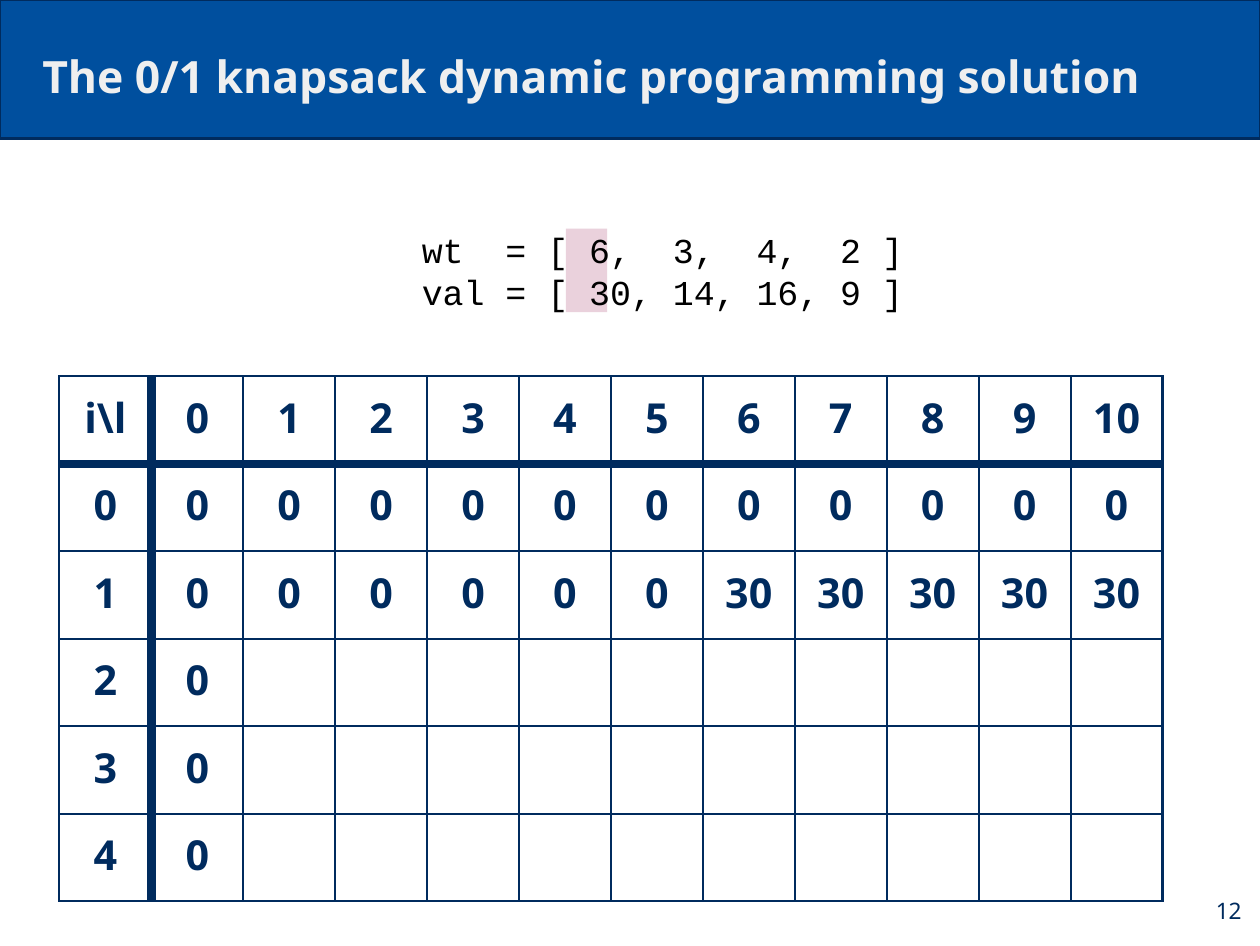
import pptx
import pptx.dml.color
import pptx.enum.shapes
import pptx.enum.text
import pptx.oxml
import pptx.oxml.ns
import pptx.util
from pptx.util import Inches

NAVY = "002B5E"
PAD = Inches(0.11)
ALIGN = pptx.enum.text.PP_ALIGN
ANCHOR = pptx.enum.text.MSO_ANCHOR


def color(value):
    return pptx.dml.color.RGBColor.from_string(value)


def add_run(paragraph, text, size, font, fill, bold=False):
    run = paragraph.add_run()
    run.text = text
    run.font.size = pptx.util.Pt(size)
    run.font.name = font
    run.font.bold = bold
    run.font.color.rgb = color(fill)


deck = pptx.Presentation()
deck.slide_width = Inches(11.02)
deck.slide_height = Inches(8.27)
slide = deck.slides.add_slide(deck.slide_layouts[5])
shapes = slide.shapes

rectangle = pptx.enum.shapes.MSO_SHAPE.RECTANGLE
band = shapes.add_shape(rectangle, 0, 0, deck.slide_width, Inches(1.21))
band.fill.solid()
band.fill.fore_color.rgb = color("004F9E")
band.line.color.rgb = color(NAVY)
band.line.width = pptx.util.Pt(1.5)
band.shadow.inherit = False

highlight = shapes.add_shape(rectangle, Inches(4.95), Inches(2), Inches(0.36), Inches(0.73))
highlight.fill.solid()
highlight.fill.fore_color.rgb = color("EAD1DC")
highlight.line.fill.background()
highlight.shadow.inherit = False

title = shapes.title
band.element.addnext(title.element)
title.left, title.top = Inches(0.26), Inches(0.24)
title.width, title.height = Inches(10.76), Inches(0.73)
heading = title.text_frame
heading.auto_size = pptx.enum.text.MSO_AUTO_SIZE.NONE
heading.word_wrap = True
heading.vertical_anchor = ANCHOR.BOTTOM
heading.margin_left = heading.margin_right = heading.margin_top = PAD
heading.margin_bottom = Inches(0.07)
heading.paragraphs[0].alignment = ALIGN.LEFT
add_run(heading.paragraphs[0], "The 0/1 knapsack dynamic programming solution",
        28, "Noto Sans", "EFEFEF", True)

capacities = range(11)
knapsack = [
    ["i\\l", *capacities],
    [0] + [0 for limit in capacities],
    [1] + [30 if limit >= 6 else 0 for limit in capacities],
]
knapsack += [[item, 0] + [""] * 10 for item in (2, 3, 4)]

grid = shapes.add_table(6, 12, Inches(0.52), Inches(3.29), Inches(9.65), Inches(4.59)).table
grid.first_row = False
grid.horz_banding = False
for column in grid.columns:
    column.width = Inches(9.65 / 12)
for row in grid.rows:
    row.height = Inches(4.59 / 6)

for i, values in enumerate(knapsack):
    for j, value in enumerate(values):
        cell = grid.cell(i, j)
        cell.margin_left = cell.margin_right = PAD
        cell.margin_top = cell.margin_bottom = PAD
        thick = {"lnL": j == 1, "lnR": j == 0, "lnT": i == 1, "lnB": i == 0}
        properties = cell._tc.get_or_add_tcPr()
        for side, is_thick in thick.items():
            width = pptx.util.Pt(6 if is_thick else 1.5)
            properties.append(pptx.oxml.parse_xml(
                f'<a:{side} {pptx.oxml.ns.nsdecls("a")} w="{width}"><a:solidFill>'
                f'<a:srgbClr val="{NAVY}"/></a:solidFill></a:{side}>'))
        cell.fill.background()
        if value != "":
            paragraph = cell.text_frame.paragraphs[0]
            paragraph.alignment = ALIGN.CENTER
            add_run(paragraph, str(value), 26, "Noto Sans", NAVY, True)

items = shapes.add_textbox(Inches(3.58), Inches(1.89), Inches(4.54), Inches(1.14)).text_frame
number = shapes.add_textbox(Inches(10.31), Inches(7.64), Inches(0.66), Inches(0.63)).text_frame
for frame in (items, number):
    frame.word_wrap = True
    frame.margin_left = frame.margin_right = PAD
    frame.margin_top = frame.margin_bottom = PAD

for k, code in enumerate(("wt  = [ 6,  3,  4,  2 ]", "val = [ 30, 14, 16, 9 ]")):
    paragraph = items.add_paragraph() if k else items.paragraphs[0]
    paragraph.line_spacing = pptx.util.Pt(26.5)
    add_run(paragraph, code, 22, "Courier New", "000000")

number.vertical_anchor = ANCHOR.MIDDLE
number.paragraphs[0].alignment = ALIGN.RIGHT
add_run(number.paragraphs[0], "12", 14.3, "Noto Sans", NAVY)

deck.save("out.pptx")
